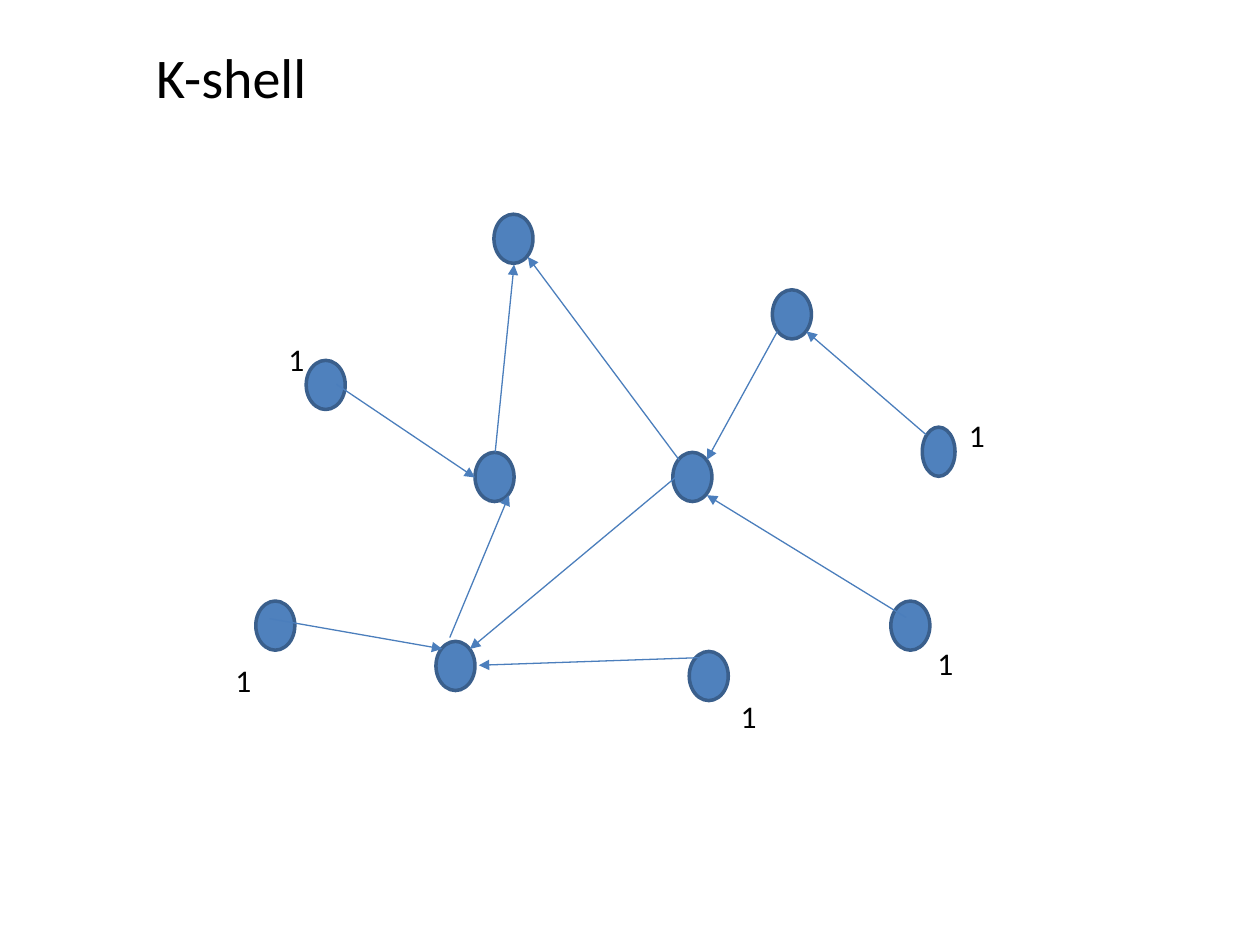
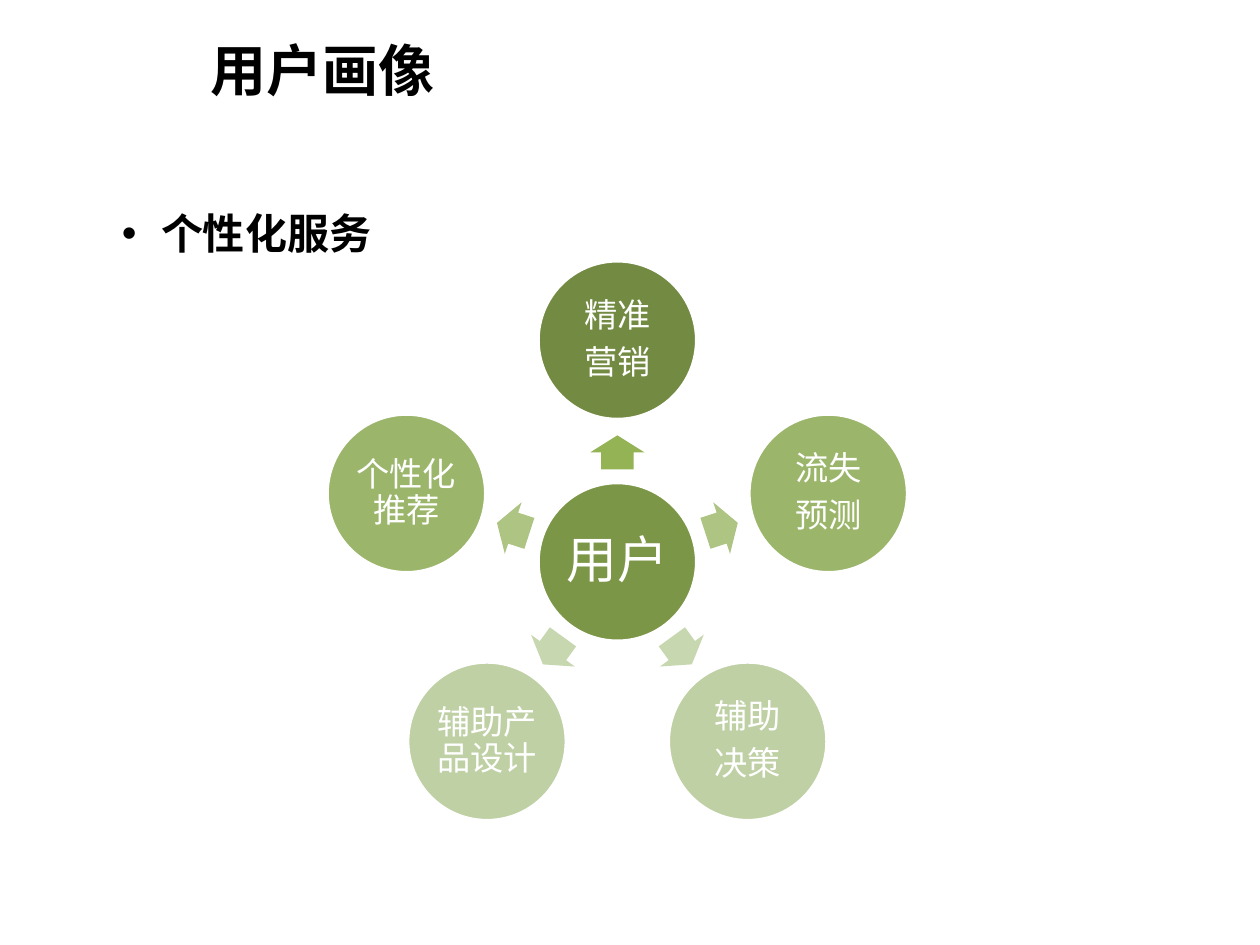
from dataclasses import dataclass
from math import cos, radians, sin, sqrt

from lxml.etree import SubElement
from pptx import Presentation
from pptx.dml.color import RGBColor
from pptx.enum.shapes import MSO_CONNECTOR as Connector, MSO_SHAPE as Preset
from pptx.enum.text import MSO_ANCHOR as Anchor, MSO_AUTO_SIZE as AutoSize, PP_ALIGN as Align
from pptx.oxml.ns import qn
from pptx.util import Inches, Pt


@dataclass(frozen=True)
class Theme:
    font: str = "Calibri"
    ink: str = "000000"
    paper: str = "FFFFFF"
    node: str = "4F81BD"
    node_rim: str = "3A5F8C"
    edge: str = "4B7EBC"
    hub: str = "7C9647"
    title_size: int = 32
    bullet_size: int = 24
    label_size: int = 18
    hub_size: int = 29
    service_size: int = 19
    rim_width: float = 2
    edge_width: float = 0.75


THEME = Theme()
COLUMNS, ROWS = 100, 75
BULLET_INDENT = 3.1

NODE_WIDTH, NODE_HEIGHT = 3.1, 3.9
NODES = [
    (39.2, 17), (54.7, 51.7), (34.6, 50.9), (20.3, 47.7), (61.3, 23),
    (53.4, 35.9), (37.7, 35.9), (24.3, 28.6), (70.7, 47.7),
]
NARROW_NODE = (73.2, 33.9, 2.6)
EDGES = [
    ((39.3, 35.9), (40.8, 21)),
    ((35.7, 50.6), (40.4, 39.3)),
    ((53.6, 37.9), (37.3, 51.5)),
    ((61.7, 26.3), (56.1, 36.5)),
    ((71.9, 49), (56.1, 39.3)),
    ((55.5, 52.2), (38, 52.8)),
    ((21.4, 49.1), (35.1, 51.5)),
    ((26.7, 30.5), (37.7, 37.9)),
    ((53.9, 36.5), (41.9, 20.4)),
    ((73.5, 34.5), (64, 26.3)),
]
SHELL_LABELS = [(21.9, 26.5), (73.4, 50.6), (57.8, 54.8), (17.7, 52), (75.9, 32.5)]

HUB_X, HUB_Y = 49, 44.6
CIRCLE = 12.6
ORBIT, ARROW_ORBIT = 17.6, 8.7
ARROW_LENGTH, ARROW_BREADTH = 2.7, 4.3
SERVICES = [
    (["精准", "营销"], "738A42", "94B355"),
    (["流失", "预测"], "9BB66B", "ADC483"),
    (["辅助", "决策"], "BFD0A4", "C7D7AF"),
    (["辅助产品设计"], "BFD0A4", "C7D7AF"),
    (["个性化推荐"], "9BB66B", "ADC483"),
]


def grid(*cells):
    return [Inches(cell / 10) for cell in cells]


def rgb(colour):
    return RGBColor.from_string(colour)


def write(paragraph, words, size, colour=THEME.ink, bold=False):
    run = paragraph.add_run()
    run.text = words
    run.font.name = THEME.font
    run.font.size = Pt(size)
    run.font.bold = bold
    run.font.color.rgb = rgb(colour)


def add_text(slide, area, words, size, bold=False, bullet=False):
    frame = slide.shapes.add_textbox(*grid(*area)).text_frame
    frame.word_wrap = True
    frame.auto_size = AutoSize.SHAPE_TO_FIT_TEXT
    paragraph = frame.paragraphs[0]
    if bullet:
        hanging, = grid(BULLET_INDENT)
        properties = paragraph._p.get_or_add_pPr()
        properties.set("marL", str(hanging))
        properties.set("indent", str(-hanging))
        SubElement(properties, qn("a:buFont"), typeface="Arial")
        SubElement(properties, qn("a:buChar"), char="•")
    write(paragraph, words, size, bold=bold)


def add_preset(slide, preset, area, fill, rim=None):
    shape = slide.shapes.add_shape(preset, *grid(*area))
    shape.shadow.inherit = False
    shape.fill.solid()
    shape.fill.fore_color.rgb = rgb(fill)
    if rim:
        shape.line.color.rgb = rgb(rim)
        shape.line.width = Pt(THEME.rim_width)
    else:
        shape.line.fill.background()
    return shape


def add_node(slide, left, top, width=NODE_WIDTH):
    area = (left, top, width, NODE_HEIGHT)
    add_preset(slide, Preset.OVAL, area, THEME.node, THEME.node_rim)


def add_edge(slide, start, end):
    edge = slide.shapes.add_connector(Connector.STRAIGHT, *grid(*start, *end))
    edge.line.color.rgb = rgb(THEME.edge)
    edge.line.width = Pt(THEME.edge_width)
    SubElement(edge.line._get_or_add_ln(), qn("a:tailEnd"), type="triangle")
    SubElement(edge._element.spPr, qn("a:effectLst"))


def add_circle(slide, x, y, lines, fill, size, inset):
    area = (x - CIRCLE / 2, y - CIRCLE / 2, CIRCLE, CIRCLE)
    frame = add_preset(slide, Preset.OVAL, area, fill, THEME.paper).text_frame
    frame.word_wrap = True
    frame.vertical_anchor = Anchor.MIDDLE
    margin, = grid(inset)
    frame.margin_left = frame.margin_right = margin
    frame.margin_top = frame.margin_bottom = margin
    for index, words in enumerate(lines):
        paragraph = frame.add_paragraph() if index else frame.paragraphs[0]
        paragraph.alignment = Align.CENTER
        paragraph.line_spacing = 0.9
        paragraph.space_after = Pt(size * 0.35)
        write(paragraph, words, size, THEME.paper)


def add_arrow(slide, x, y, angle, fill):
    area = (x - ARROW_LENGTH / 2, y - ARROW_BREADTH / 2, ARROW_LENGTH, ARROW_BREADTH)
    arrow = add_preset(slide, Preset.RIGHT_ARROW, area, fill)
    arrow.adjustments[0] = 0.6
    arrow.adjustments[1] = 0.5
    arrow.rotation = angle % 360


def around_hub(radius, angle):
    turn = radians(angle)
    return HUB_X + radius * cos(turn), HUB_Y + radius * sin(turn)


def build_shell(slide):
    add_text(slide, (11.4, 2.9, 50.4, 6.4), "K-shell", THEME.title_size)
    for node in NODES + [NARROW_NODE]:
        add_node(slide, *node)
    for start, end in EDGES:
        add_edge(slide, start, end)
    for left, top in SHELL_LABELS:
        add_text(slide, (left, top, 4.8, 4), "1", THEME.label_size)


def build_profile(slide):
    add_text(slide, (15.7, 2.3, 24.4, 6.4), "用户画像", THEME.title_size, bold=True)
    add_text(slide, (8.7, 16, 30.7, 5), "个性化服务", THEME.bullet_size, bold=True, bullet=True)
    add_circle(slide, HUB_X, HUB_Y, ["用户"], THEME.hub, THEME.hub_size, 0.4)
    for index, (lines, fill, arrow_fill) in enumerate(SERVICES):
        angle = index * 360 / len(SERVICES) - 90
        add_arrow(slide, *around_hub(ARROW_ORBIT, angle), angle, arrow_fill)
        add_circle(slide, *around_hub(ORBIT, angle), lines, fill, THEME.service_size, 0.3)


def main():
    deck = Presentation()
    deck.slide_width, deck.slide_height = grid(COLUMNS, ROWS)
    blank = deck.slide_layouts[6]
    for build in (build_shell, build_profile):
        build(deck.slides.add_slide(blank))
    deck.save("out.pptx")


if __name__ == "__main__":
    main()
